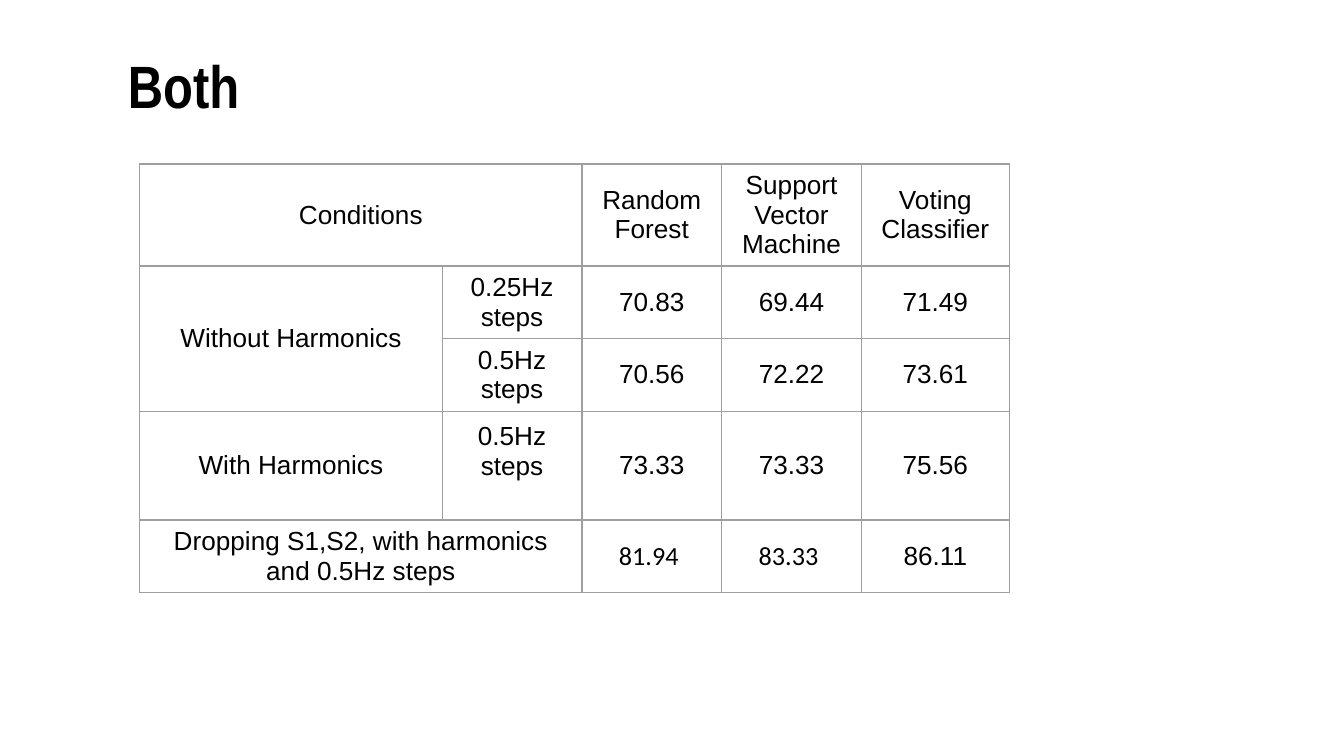
"""Build a slide with a table of classifier accuracy by condition."""
from lxml.etree import SubElement
from pptx import Presentation
from pptx.dml.color import RGBColor
from pptx.enum.text import MSO_ANCHOR, PP_ALIGN
from pptx.oxml.ns import qn
from pptx.util import Inches, Pt


def write(frame, text, align, color, **font_format):
    para = frame.paragraphs[0]
    para.alignment = align
    span = para.add_run()
    span.text = text
    span.font.color.rgb = RGBColor.from_string(color)
    for name, value in font_format.items():
        setattr(span.font, name, value)


def add_borders(cell, color, width):
    properties = cell._tc.get_or_add_tcPr()
    for index, side in enumerate(("lnL", "lnR", "lnT", "lnB")):
        line = properties.makeelement(qn(f"a:{side}"), {"w": str(Pt(width))})
        properties.insert(index, line)
        fill = SubElement(line, qn("a:solidFill"))
        SubElement(fill, qn("a:srgbClr"), val=color)


deck = Presentation()
deck.slide_width, deck.slide_height = Inches(10), Inches(10 * 9 / 16)
page = deck.slides.add_slide(deck.slide_layouts[6])

rows = [
    ["Conditions", "", "Random Forest", "Support Vector Machine", "Voting Classifier"],
    ["Without Harmonics", "0.25Hz steps", "70.83", "69.44", "71.49"],
    ["", "0.5Hz steps", "70.56", "72.22", "73.61"],
    ["With Harmonics", "0.5Hz steps", "73.33", "73.33", "75.56"],
    ["Dropping S1,S2, with harmonics and 0.5Hz steps", "", "81.94 ", "83.33 ", "86.11"],
]
column_widths = [2.25, 1.04, 1.04, 1.04, 1.1]
row_heights = [0.76, 0.54, 0.54, 0.81, 0.54]
merges = [((0, 0), (0, 1)), ((1, 0), (2, 0)), ((4, 0), (4, 1))]
calibri_cells = [(4, 2), (4, 3)]

table = page.shapes.add_table(
    len(rows), len(column_widths), Inches(1.04), Inches(1.22),
    Inches(sum(column_widths)), Inches(sum(row_heights)),
).table
for name, value in {"first_row": False, "horz_banding": False}.items():
    setattr(table, name, value)
for column, width in zip(table.columns, column_widths):
    column.width = Inches(width)
for row, height in zip(table.rows, row_heights):
    row.height = Inches(height)
for first, last in merges:
    table.cell(*first).merge(table.cell(*last))

for row_index, row in enumerate(rows):
    for column_index, text in enumerate(row):
        cell = table.cell(row_index, column_index)
        cell.fill.background()
        cell.vertical_anchor = MSO_ANCHOR.MIDDLE
        add_borders(cell, "9E9E9E", 0.75)
        if text:
            font = "Calibri" if (row_index, column_index) in calibri_cells else "Arial"
            write(cell.text_frame, text, PP_ALIGN.CENTER, "000000", name=font, size=Pt(14))
table.cell(3, 1).margin_bottom = Inches(0.26)

title = page.shapes.add_textbox(Inches(0.76), Inches(0.48), Inches(1.12), Inches(0.3))
frame_format = {"word_wrap": True, "vertical_anchor": MSO_ANCHOR.MIDDLE}
for side in ("left", "right", "top", "bottom"):
    frame_format[f"margin_{side}"] = Inches(0.1)
for name, value in frame_format.items():
    setattr(title.text_frame, name, value)
write(title.text_frame, "Both", PP_ALIGN.RIGHT, "000000",
      name="Arial Narrow", size=Pt(32), bold=True)

deck.save("out.pptx")
